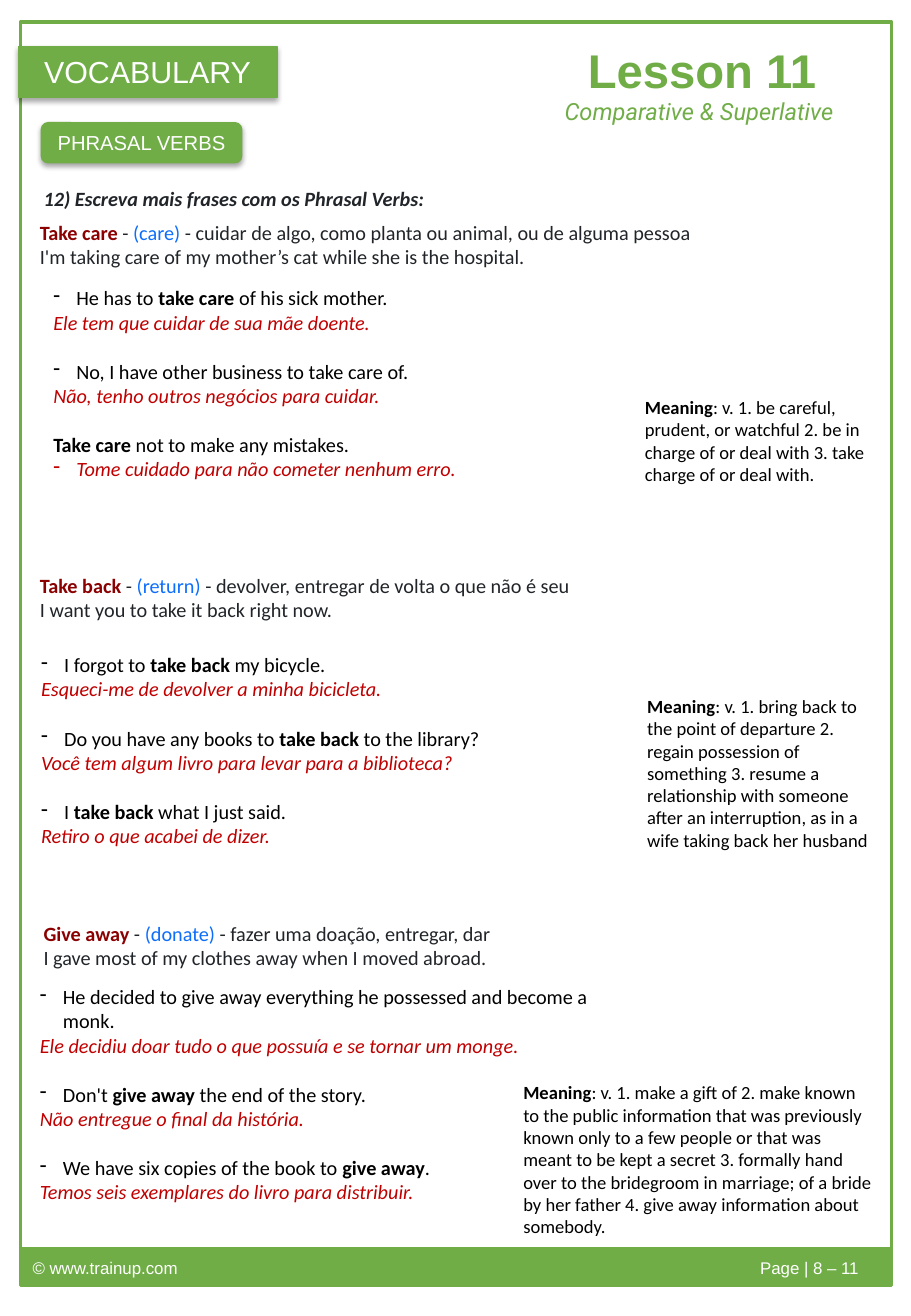
from dataclasses import dataclass

from lxml import etree
from pptx import Presentation
from pptx.dml.color import RGBColor
from pptx.enum import shapes, text
from pptx.oxml import ns
from pptx.util import Pt

PX = 9144  # 100 px to the inch
GREEN = RGBColor(0x70, 0xAD, 0x47)
WHITE = RGBColor(0xFF, 0xFF, 0xFF)
BLACK = RGBColor(0, 0, 0)
INK = RGBColor(0x21, 0x25, 0x29)
DARK_RED = RGBColor(0x8B, 0, 0)
RED = RGBColor(0xC0, 0, 0)
BLUE = RGBColor(0x0D, 0x6E, 0xFD)

BODY = {"name": "Calibri", "size": Pt(12)}
NOTE = {"name": "Calibri", "size": Pt(11)}
BLANK_LINE = Pt(14.65)
DASH_INDENT = 19 * PX

Box = tuple[int, int, int, int]


@dataclass(frozen=True)
class Label:
    box: Box
    shape: shapes.MSO_SHAPE
    text: str
    size: int
    line_width: float = 0.75
    corner: float | None = None
    shadow: bool = True
    align: text.PP_ALIGN = text.PP_ALIGN.CENTER


@dataclass(frozen=True)
class Example:
    """An English sentence, with *bold* words, and its translation."""
    english: str
    portuguese: str
    dash_on_translation: bool = False


@dataclass(frozen=True)
class PhrasalVerb:
    verb: str
    synonym: str
    definition: str
    sample: str
    heading_box: Box
    examples_box: Box
    meaning_box: Box
    meaning: str
    examples: tuple[Example, ...]


LABELS = (
    Label((34, 101, 165, 33), shapes.MSO_SHAPE.ROUNDED_RECTANGLE, "PHRASAL VERBS", 12),
    Label((15, 38, 213, 42), shapes.MSO_SHAPE.ROUNDED_RECTANGLE, "VOCABULARY", 18, corner=0),
    Label((17, 1028, 717, 30), shapes.MSO_SHAPE.RECTANGLE, "© www.trainup.com\tPage | 8 – 11",
          10, line_width=2, shadow=False, align=text.PP_ALIGN.LEFT),
)

VERBS = (
    PhrasalVerb(
        "Take care", "(care)", "cuidar de algo, como planta ou animal, ou de alguma pessoa",
        "I'm taking care of my mother’s cat while she is the hospital.",
        (23, 176, 631, 50), (34, 230, 411, 172), (521, 321, 222, 84),
        "be careful, prudent, or watchful 2. be in charge of or deal with "
        "3. take charge of or deal with.",
        (Example("He has to *take care* of his sick mother.",
                 "Ele tem que cuidar de sua mãe doente."),
         Example("No, I have other business to take care of.",
                 "Não, tenho outros negócios para cuidar."),
         Example("*Take care* not to make any mistakes.",
                 "Tome cuidado para não cometer nenhum erro.", True))),
    PhrasalVerb(
        "Take back", "(return)", "devolver, entregar de volta o que não é seu",
        "I want you to take it back right now.",
        (23, 467, 631, 50), (24, 532, 473, 172), (523, 567, 203, 140),
        "bring back to the point of departure 2. regain possession of something "
        "3. resume a relationship with someone after an interruption, as in a wife "
        "taking back her husband",
        (Example("I forgot to *take back* my bicycle.",
                 "Esqueci-me de devolver a minha bicicleta."),
         Example("Do you have any books to *take back* to the library?",
                 "Você tem algum livro para levar para a biblioteca?"),
         Example("I *take back* what I just said.", "Retiro o que acabei de dizer."))),
    PhrasalVerb(
        "Give away", "(donate)", "fazer uma doação, entregar, dar",
        "I gave most of my clothes away when I moved abroad.",
        (26, 753, 631, 50), (23, 805, 500, 192), (421, 885, 307, 140),
        "make a gift of 2. make known to the public information that was previously "
        "known only to a few people or that was meant to be kept a secret 3. formally "
        "hand over to the bridegroom in marriage; of a bride by her father "
        "4. give away information about somebody.",
        (Example("He decided to give away everything he possessed and become a monk.",
                 "Ele decidiu doar tudo o que possuía e se tornar um monge."),
         Example("Don't *give away* the end of the story.", "Não entregue o final da história."),
         Example("We have six copies of the book to *give away*.",
                 "Temos seis exemplares do livro para distribuir."))),
)


def emu(box: Box) -> list[int]:
    return [v * PX for v in box]


def add_run(p, words: str, color: RGBColor, **fmt) -> None:
    r = p.add_run()
    r.text = words
    r.font.color.rgb = color
    for key, value in fmt.items():
        setattr(r.font, key, value)


def add_marked(p, words: str, color: RGBColor, **fmt) -> None:
    """Add runs, making the words between asterisks bold."""
    for i, part in enumerate(words.split("*")):
        if part:
            add_run(p, part, color, bold=i % 2 == 1, **fmt)


def add_text_box(slide, box: Box, wrap: bool = True):
    tf = slide.shapes.add_textbox(*emu(box)).text_frame
    tf.word_wrap = wrap
    tf.auto_size = text.MSO_AUTO_SIZE.SHAPE_TO_FIT_TEXT
    return tf


def add_dash(p) -> None:
    pPr = p._p.get_or_add_pPr()
    pPr.set("marL", str(DASH_INDENT))
    pPr.set("indent", str(-DASH_INDENT))
    etree.SubElement(pPr, ns.qn("a:buChar"), char="-")


def add_right_tab(p, position: int) -> None:
    tabs = etree.SubElement(p._p.get_or_add_pPr(), ns.qn("a:tabLst"))
    etree.SubElement(tabs, ns.qn("a:tab"), pos=str(position * PX), algn="r")


def add_shadow(sp) -> None:
    effects = sp._element.spPr.find(ns.qn("a:effectLst"))
    shadow = etree.SubElement(effects, ns.qn("a:outerShdw"), blurRad=str(Pt(3.1)),
                              dist=str(Pt(1.8)), dir="5400000", algn="t", rotWithShape="0")
    color = etree.SubElement(shadow, ns.qn("a:srgbClr"), val=str(BLACK))
    etree.SubElement(color, ns.qn("a:alpha"), val="35000")


def add_outlined(slide, shape: shapes.MSO_SHAPE, box: Box, line_width: float):
    sp = slide.shapes.add_shape(shape, *emu(box))
    sp.shadow.inherit = False
    sp.line.color.rgb = GREEN
    sp.line.width = Pt(line_width)
    return sp


def add_label(slide, label: Label) -> None:
    sp = add_outlined(slide, label.shape, label.box, label.line_width)
    sp.fill.solid()
    sp.fill.fore_color.rgb = GREEN
    if label.corner is not None:
        sp.adjustments[0] = label.corner
    if label.shadow:
        add_shadow(sp)
    tf = sp.text_frame
    tf.vertical_anchor = text.MSO_ANCHOR.MIDDLE
    p = tf.paragraphs[0]
    p.alignment = label.align
    if "\t" in label.text:
        add_right_tab(p, 680)
    add_run(p, label.text, WHITE, name="Arial", size=Pt(label.size))


def add_verb(slide, verb: PhrasalVerb) -> None:
    p = add_text_box(slide, verb.heading_box).paragraphs[0]
    add_run(p, verb.verb, DARK_RED, bold=True, **BODY)
    add_run(p, " - ", INK, **BODY)
    add_run(p, verb.synonym, BLUE, **BODY)
    add_run(p, f" - {verb.definition}", INK, **BODY)
    p.add_line_break()
    add_run(p, verb.sample, INK, **BODY)

    tf = add_text_box(slide, verb.examples_box)
    for i, example in enumerate(verb.examples):
        english = tf.add_paragraph() if i else tf.paragraphs[0]
        if i:
            english.space_before = BLANK_LINE
        translation = tf.add_paragraph()
        add_dash(translation if example.dash_on_translation else english)
        add_marked(english, example.english, BLACK, **BODY)
        add_run(translation, example.portuguese, RED, italic=True, **BODY)

    p = add_text_box(slide, verb.meaning_box).paragraphs[0]
    add_marked(p, f"*Meaning*: v. 1. {verb.meaning}", BLACK, **NOTE)


def add_title(slide) -> None:
    title = slide.shapes.title
    title.left, title.top, title.width, title.height = emu((474, 29, 211, 57))
    tf = title.text_frame
    settings = {"word_wrap": False, "vertical_anchor": text.MSO_ANCHOR.TOP,
                "auto_size": text.MSO_AUTO_SIZE.SHAPE_TO_FIT_TEXT}
    for key, value in settings.items():
        setattr(tf, key, value)
    p = tf.paragraphs[0]
    p.alignment = text.PP_ALIGN.LEFT
    add_run(p, "Lesson 11", GREEN, name="Arial", size=Pt(28), bold=True)


def main() -> None:
    prs = Presentation()
    prs.slide_width, prs.slide_height = 750 * PX, 1083 * PX
    slide = prs.slides.add_slide(prs.slide_layouts[5])
    add_title(slide)
    frame = add_outlined(slide, shapes.MSO_SHAPE.RECTANGLE, (17, 18, 717, 1039), 2)
    frame.fill.background()
    for label in LABELS:
        add_label(slide, label)
    p = add_text_box(slide, (455, 75, 250, 34), wrap=False).paragraphs[0]
    add_run(p, "Comparative & Superlative", GREEN, name="Roboto", size=Pt(14), italic=True)
    p = add_text_box(slide, (26, 148, 631, 30)).paragraphs[0]
    add_run(p, "12) Escreva mais frases com os Phrasal Verbs:", INK, bold=True, italic=True, **BODY)
    for verb in VERBS:
        add_verb(slide, verb)
    prs.save("out.pptx")


if __name__ == "__main__":
    main()
